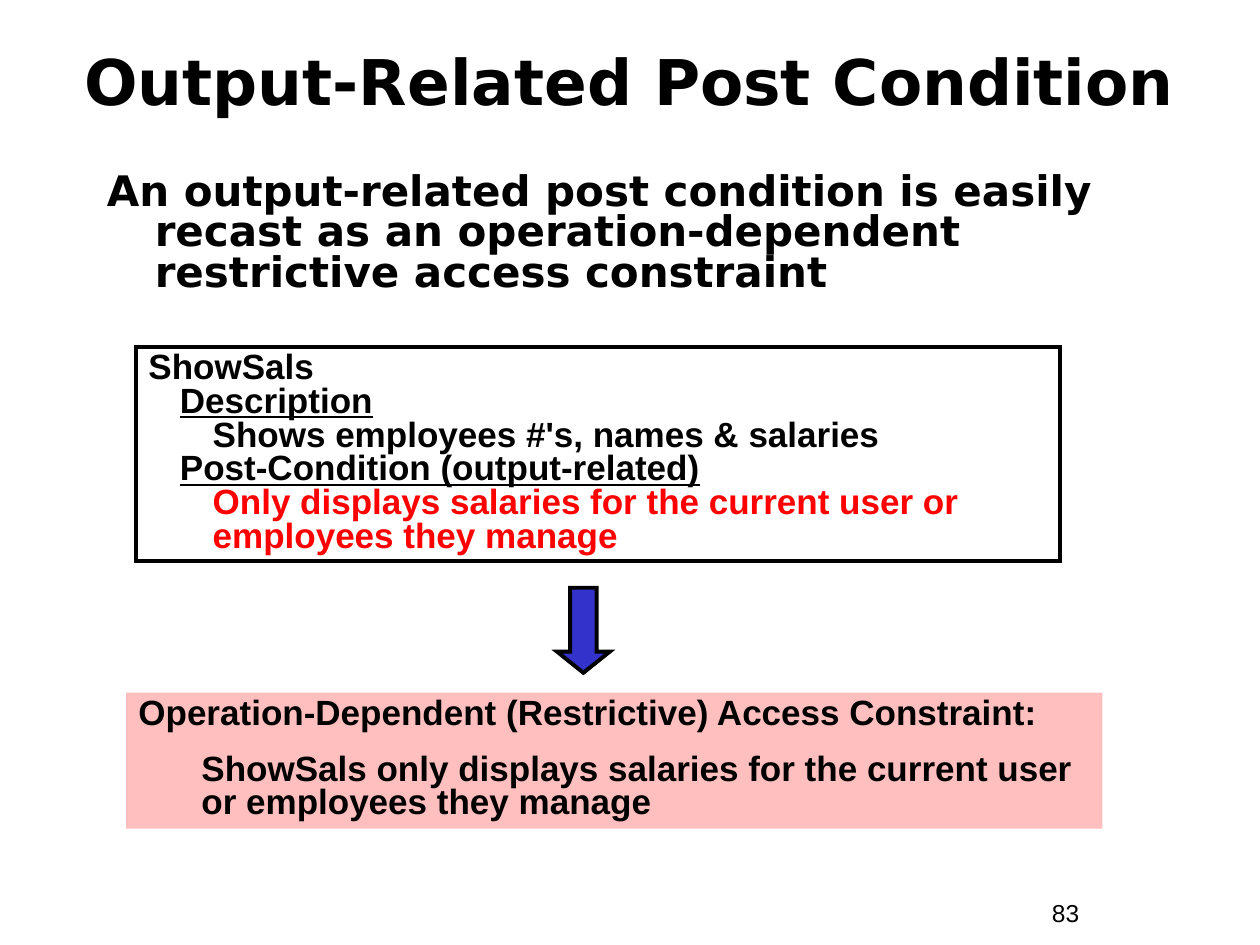
from lxml.etree import SubElement
from pptx import Presentation
from pptx.dml.color import RGBColor
from pptx.enum.shapes import MSO_SHAPE
from pptx.enum.text import MSO_ANCHOR, PP_ALIGN
from pptx.oxml.ns import qn
from pptx.util import Inches, Pt

COLORS = {"ink": "000000", "alert": "FF0000", "constraint": "FFBFBF", "arrow": "3333CC"}
WIDTH, HEIGHT = 10, 7.5
HEADING_FONT, BODY_FONT = "DejaVu Sans", "Arial"

# Each line: text, left indent in inches, further format
TITLE = [("Output-Related Post Condition", 0, {})]
STATEMENT = [("An output-related post condition is easily recast as an "
              "operation-dependent restrictive access constraint", 0.38, {"hanging": 0.38})]
OPERATION = [
    ("ShowSals", 0, {}),
    ("Description", 0.25, {"underline": True}),
    ("Shows employees #'s, names & salaries", 0.51, {}),
    ("Post-Condition (output-related)", 0.25, {"underline": True}),
    ("Only displays salaries for the current user or employees they manage", 0.51,
     {"color": "alert"}),
]
CONSTRAINT = [
    ("Operation-Dependent (Restrictive) Access Constraint:", 0, {}),
    ("ShowSals only displays salaries for the current user or employees they manage", 0.5,
     {"before": 12.5}),
]
PAGE_NUMBER = [("83", 0, {})]

# Left, top, width, height as shares of the slide
AREAS = {
    "title": (0.033, 0.03, 0.933, 0.122),
    "statement": (0.075, 0.178, 0.842, 0.178),
    "operation": (0.108, 0.367, 0.733, 0.227),
    "arrow": (0.442, 0.622, 0.042, 0.09),
    "constraint": (0.1, 0.733, 0.775, 0.144),
    "page": (0.825, 0.944, 0.092, 0.045),
}
AREAS = {
    name: [Inches(share * side) for share, side in zip(shares, (WIDTH, HEIGHT) * 2)]
    for name, shares in AREAS.items()
}


def rgb(name):
    return RGBColor.from_string(COLORS[name])


def add_line(paragraph, text, *, font, size, bold=True, color="ink", underline=False,
             indent=0, hanging=0, spacing=0.8, before=0, align=PP_ALIGN.LEFT):
    properties = paragraph._p.get_or_add_pPr()
    properties.set("marL", str(Inches(indent)))
    properties.set("indent", str(-Inches(hanging)))
    paragraph.alignment = align
    paragraph.line_spacing = spacing
    paragraph.space_before = Pt(before)
    run = paragraph.add_run()
    run.text = text
    run.font.name, run.font.size = font, Pt(size)
    run.font.bold, run.font.underline = bold, underline
    run.font.color.rgb = rgb(color)


def write(shape, lines, *, anchor=MSO_ANCHOR.TOP, **common):
    frame = shape.text_frame
    frame.word_wrap = True
    frame.vertical_anchor = anchor
    for index, (text, indent, extra) in enumerate(lines):
        paragraph = frame.add_paragraph() if index else frame.paragraphs[0]
        add_line(paragraph, text, indent=indent, **{**common, **extra})


def add_figure(slide, kind, area, fill=None, outlined=False):
    shape = slide.shapes.add_shape(kind, *AREAS[area])
    shape.shadow.inherit = False
    if fill:
        shape.fill.solid()
        shape.fill.fore_color.rgb = rgb(fill)
    else:
        shape.fill.background()
    if outlined:
        shape.line.color.rgb = rgb("ink")
        shape.line.width = Pt(2.25)
        SubElement(shape.line._get_or_add_ln(), qn("a:miter"), lim="800000")
    else:
        shape.line.fill.background()
    return shape


def main():
    deck = Presentation()
    deck.slide_width, deck.slide_height = Inches(WIDTH), Inches(HEIGHT)
    slide = deck.slides.add_slide(deck.slide_layouts[6])

    page = slide.shapes.add_textbox(*AREAS["page"])
    write(page, PAGE_NUMBER, font=BODY_FONT, size=14, bold=False, spacing=1.0)
    title = slide.shapes.add_textbox(*AREAS["title"])
    write(title, TITLE, font=HEADING_FONT, size=36, spacing=0.85,
          align=PP_ALIGN.CENTER, anchor=MSO_ANCHOR.MIDDLE)
    statement = slide.shapes.add_textbox(*AREAS["statement"])
    write(statement, STATEMENT, font=HEADING_FONT, size=24)

    operation = add_figure(slide, MSO_SHAPE.RECTANGLE, "operation", outlined=True)
    write(operation, OPERATION, font=BODY_FONT, size=20)
    constraint = add_figure(slide, MSO_SHAPE.RECTANGLE, "constraint", fill="constraint")
    write(constraint, CONSTRAINT, font=BODY_FONT, size=20)
    arrow = add_figure(slide, MSO_SHAPE.DOWN_ARROW, "arrow", fill="arrow", outlined=True)
    arrow.adjustments[0], arrow.adjustments[1] = 0.5, 0.4

    deck.save("out.pptx")


if __name__ == "__main__":
    main()
